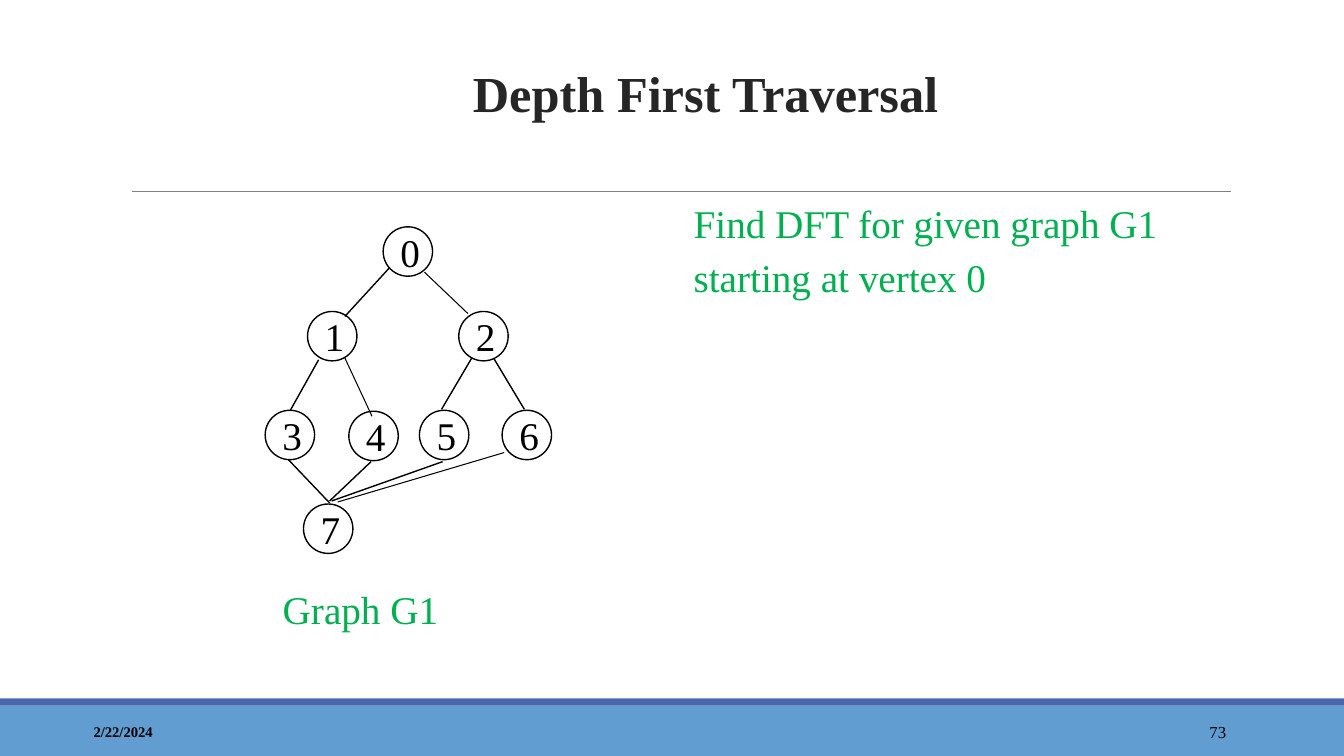
from dataclasses import dataclass

from lxml import etree
from pptx import Presentation
from pptx import util as u
from pptx.dml import color
from pptx.enum import shapes, text
from pptx.oxml import ns

FONT = "Times New Roman"
BLACK, GREEN = "000000", "00B050"
NODE_SIZE = 0.49
LEFT, CENTER, RIGHT = text.PP_ALIGN.LEFT, text.PP_ALIGN.CENTER, text.PP_ALIGN.RIGHT
TOP, MIDDLE, BOTTOM = text.MSO_ANCHOR.TOP, text.MSO_ANCHOR.MIDDLE, text.MSO_ANCHOR.BOTTOM


@dataclass(frozen=True)
class Band:
    top: float
    height: float
    fill: str


@dataclass(frozen=True)
class Vertex:
    label: str
    x: float
    y: float


@dataclass(frozen=True)
class Edge:
    x1: float
    y1: float
    x2: float
    y2: float
    width: float = 1
    hue: str = BLACK


@dataclass(frozen=True)
class Label:
    words: str
    x: float
    y: float
    w: float
    h: float
    size: float
    hue: str = BLACK
    bold: bool = False
    align: text.PP_ALIGN = LEFT
    anchor: text.MSO_ANCHOR = MIDDLE
    inset: float = 0.1
    spacing: float = 1


BANDS = [Band(7, 0.5, "629DD1"), Band(6.93, 0.07, "4A66AC")]

VERTICES = [
    Vertex("0", 3.8, 2.25),
    Vertex("1", 3.05, 3.09),
    Vertex("2", 4.55, 3.09),
    Vertex("3", 2.63, 4.07),
    Vertex("4", 3.46, 4.08),
    Vertex("5", 4.16, 4.07),
    Vertex("6", 4.98, 4.07),
    Vertex("7", 3.01, 5),
]

TITLE_RULE = Edge(1.31, 1.9, 12.21, 1.9, 0.75, "7F7F7F")

EDGES = [
    Edge(3.86, 2.66, 3.42, 3.14),
    Edge(3.16, 3.57, 2.88, 4.07),
    Edge(4.68, 3.55, 4.38, 4.06),
    Edge(4.9, 3.56, 5.2, 4.06),
    Edge(2.86, 4.56, 3.27, 4.99),
    Edge(3.27, 4.97, 3.68, 4.58),
    Edge(3.29, 4.97, 4.39, 4.58),
    Edge(4.21, 2.7, 4.64, 3.11, 0.75),
    Edge(3.42, 3.55, 3.69, 4.13, 0.75),
    Edge(3.35, 4.98, 5, 4.49, 0.75),
]

LABELS = [
    Label("Depth First Traversal", 1.5, 0.21, 11, 1.06, 36, "262626", True,
          CENTER, BOTTOM, spacing=1.15),
    Label("2/22/2024", 0.83, 7.06, 3, 0.4, 10.5, bold=True),
    Label("73", 10.83, 7.06, 1.43, 0.4, 12, align=RIGHT),
    Label("Find DFT for given graph G1 starting at vertex 0", 6.88, 1.86, 4.67, 1.5,
          28, GREEN, anchor=TOP, inset=0, spacing=1.15),
    Label("Graph G1", 2.48, 5.69, 2.19, 0.63, 28, GREEN, align=CENTER,
          anchor=TOP, inset=0, spacing=1.15),
]


def rgb(value: str) -> color.RGBColor:
    return color.RGBColor.from_string(value)


def apply(target, formats: dict) -> None:
    for name, value in formats.items():
        setattr(target, name, value)


def write(sp, words: str, size: float, hue: str, bold: bool, align, spacing: float) -> None:
    p = sp.text_frame.paragraphs[0]
    apply(p, {"alignment": align, "line_spacing": spacing})
    r = p.add_run()
    r.text = words
    apply(r.font, {"name": FONT, "size": u.Pt(size), "bold": bold})
    r.font.color.rgb = rgb(hue)


def draw_shape(s, kind, x: float, y: float, w: float, h: float, fill: str):
    sp = s.shapes.add_shape(kind, *map(u.Inches, (x, y, w, h)))
    sp.shadow.inherit = False
    sp.fill.solid()
    sp.fill.fore_color.rgb = rgb(fill)
    return sp


def draw_band(s, band: Band) -> None:
    sp = draw_shape(s, shapes.MSO_SHAPE.RECTANGLE, 0, band.top, 13.33, band.height, band.fill)
    sp.line.fill.background()


def draw_vertex(s, vertex: Vertex) -> None:
    sp = draw_shape(s, shapes.MSO_SHAPE.OVAL, vertex.x, vertex.y, NODE_SIZE, NODE_SIZE, "FFFFFF")
    sp.line.color.rgb = rgb(BLACK)
    sp.line.width = u.Pt(1)
    write(sp, vertex.label, 28, BLACK, False, CENTER, 1)


def draw_edge(s, edge: Edge) -> None:
    ends = map(u.Inches, (edge.x1, edge.y1, edge.x2, edge.y2))
    line = s.shapes.add_connector(shapes.MSO_CONNECTOR.STRAIGHT, *ends)
    line.line.color.rgb = rgb(edge.hue)
    line.line.width = u.Pt(edge.width)
    etree.SubElement(line._element.spPr, ns.qn("a:effectLst"))


def draw_label(s, label: Label) -> None:
    sp = s.shapes.add_textbox(*map(u.Inches, (label.x, label.y, label.w, label.h)))
    apply(sp.text_frame, {
        "word_wrap": True,
        "vertical_anchor": label.anchor,
        "margin_left": u.Inches(label.inset),
        "margin_right": u.Inches(label.inset),
    })
    write(sp, label.words, label.size, label.hue, label.bold, label.align, label.spacing)


def main() -> None:
    prs = Presentation()
    apply(prs, {"slide_width": u.Inches(13.33), "slide_height": u.Inches(7.5)})
    s = prs.slides.add_slide(prs.slide_layouts[6])
    for band in BANDS:
        draw_band(s, band)
    draw_edge(s, TITLE_RULE)
    for vertex in VERTICES:
        draw_vertex(s, vertex)
    for edge in EDGES:
        draw_edge(s, edge)
    for label in LABELS:
        draw_label(s, label)
    prs.save("out.pptx")


if __name__ == "__main__":
    main()
